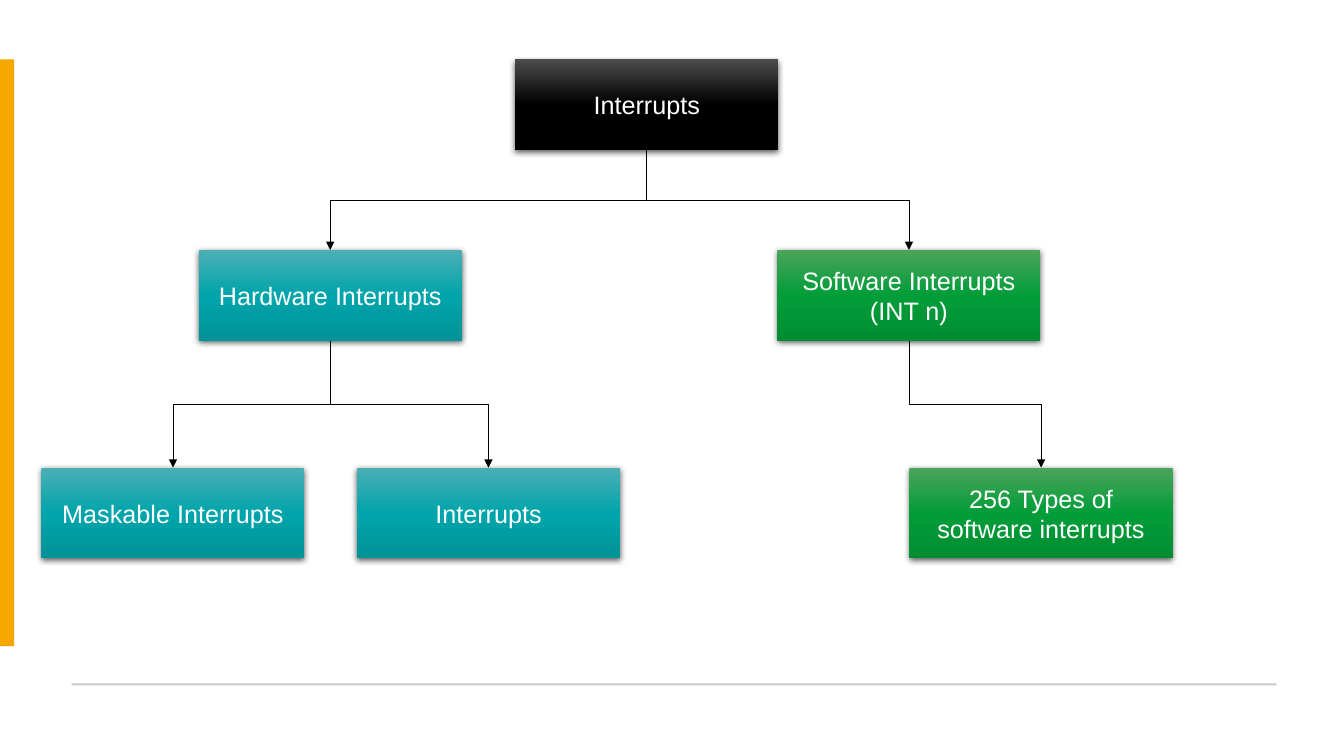
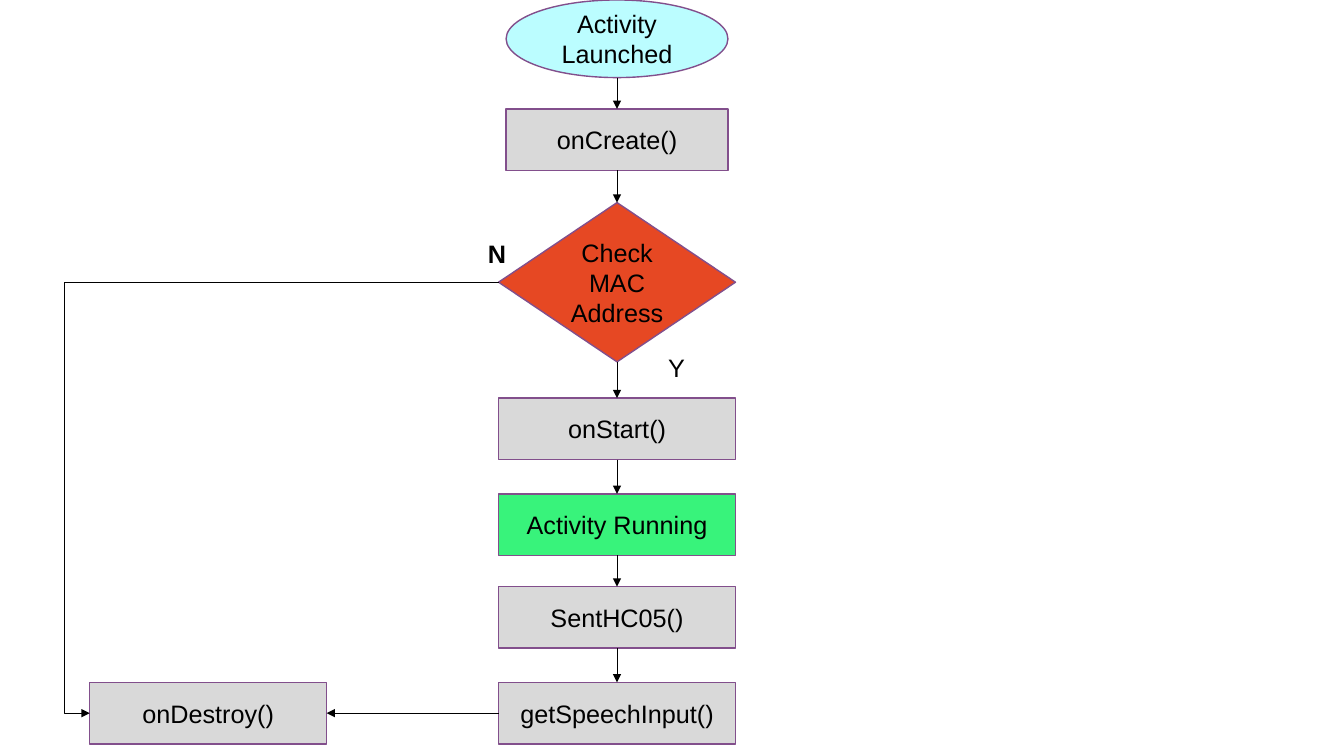
from copy import deepcopy

from lxml.etree import SubElement
from pptx import Presentation
from pptx.dml.color import RGBColor
from pptx.enum.shapes import MSO_CONNECTOR, MSO_SHAPE
from pptx.enum.text import MSO_ANCHOR, MSO_AUTO_SIZE, PP_ALIGN
from pptx.oxml.ns import qn
from pptx.util import Inches, Pt

FONT = "Arial"
BLACK = RGBColor(0x00, 0x00, 0x00)
WHITE = RGBColor(0xFF, 0xFF, 0xFF)
AMBER = RGBColor(0xF5, 0xA7, 0x00)
SILVER = RGBColor(0xC9, 0xC9, 0xC9)
GRAY = RGBColor(0xD9, 0xD9, 0xD9)
CYAN = RGBColor(0xBB, 0xFD, 0xFF)
ORANGE = RGBColor(0xE6, 0x48, 0x23)
LIME = RGBColor(0x38, 0xF3, 0x7B)
PURPLE = RGBColor(0x82, 0x4F, 0x8C)
BLACK_FADE = (RGBColor(0x4B, 0x4B, 0x4B), BLACK, BLACK)
TEAL_FADE = (RGBColor(0x4B, 0xAF, 0xB5), RGBColor(0x00, 0xA5, 0xAB), RGBColor(0x00, 0x93, 0x98))
GREEN_FADE = (RGBColor(0x4B, 0xA4, 0x5B), RGBColor(0x02, 0x9D, 0x39), RGBColor(0x00, 0x8D, 0x32))
TOP, LEFT, BOTTOM, RIGHT = range(4)


def add_box(page, kind, text, left, top, width, height, color, text_color=BLACK):
    box = page.shapes.add_shape(kind, Inches(left), Inches(top), Inches(width), Inches(height))
    box.shadow.inherit = False
    box.fill.solid()
    box.fill.fore_color.rgb = color
    box.line.fill.background()
    box.text_frame.text = text
    box.text_frame.vertical_anchor = MSO_ANCHOR.MIDDLE
    for para in box.text_frame.paragraphs:
        para.alignment = PP_ALIGN.CENTER
        para.font.name = FONT
        para.font.size = Pt(18)
        para.font.color.rgb = text_color
    return box


def add_arrow(page, kind, start, end, start_site=BOTTOM, end_site=TOP):
    arrow = page.shapes.add_connector(
        kind, start.left + start.width // 2, start.top + start.height,
        end.left + end.width // 2, end.top)
    if start.auto_shape_type != MSO_SHAPE.OVAL:
        arrow.begin_connect(start, start_site)
    arrow.end_connect(end, end_site)
    arrow.line.color.rgb = BLACK
    arrow.line.width = Pt(0.5)
    properties = arrow._element.spPr
    SubElement(properties.find(qn("a:ln")), qn("a:tailEnd"), type="triangle")
    SubElement(properties, qn("a:effectLst"))
    return arrow


deck = Presentation()
deck.slide_width = Inches(13.33)
deck.slide_height = Inches(7.5)
blank = deck.slide_layouts[6]

page = deck.slides.add_slide(blank)
add_box(page, MSO_SHAPE.RECTANGLE, "", 0, 0.59, 0.14, 5.82, AMBER)
add_box(page, MSO_SHAPE.RECTANGLE, "", 0.71, 6.78, 11.95, 0.02, SILVER)

tree = [
    ("root", None, "Interrupts", 5.11, 0.59, BLACK_FADE),
    ("hardware", "root", "Hardware Interrupts", 1.97, 2.48, TEAL_FADE),
    ("software", "root", "Software Interrupts\n(INT n)", 7.71, 2.48, GREEN_FADE),
    ("types", "software", "256 Types of software interrupts", 9.02, 4.64, GREEN_FADE),
    ("maskable", "hardware", "Maskable Interrupts", 0.41, 4.64, TEAL_FADE),
    ("other", "hardware", "Interrupts", 3.54, 4.64, TEAL_FADE),
]
nodes = {}
for name, parent, text, left, top, fade in tree:
    node = add_box(page, MSO_SHAPE.RECTANGLE, text, left, top, 2.61, 0.9, fade[0], WHITE)
    nodes[name] = node
    node.fill.gradient()
    node.fill.gradient_angle = 270
    properties = node._element.spPr
    stop_list = properties.find(qn("a:gradFill")).find(qn("a:gsLst"))
    stop_list.append(deepcopy(stop_list[-1]))
    for stop, position, color in zip(node.fill.gradient_stops, (0, 0.5, 1), fade):
        stop.position = position
        stop.color.rgb = color
    shadow = SubElement(properties.find(qn("a:effectLst")), qn("a:outerShdw"),
                        blurRad=str(Pt(4.5)), dist=str(Pt(1.5)), dir="5400000", rotWithShape="0")
    shade = SubElement(shadow, qn("a:srgbClr"), val=str(BLACK))
    SubElement(shade, qn("a:alpha"), val="63000")

    if parent:
        arrow = add_arrow(page, MSO_CONNECTOR.ELBOW, nodes[parent], node)
        middle_x = arrow.left + arrow.width // 2
        middle_y = arrow.top + arrow.height // 2
        goes_right = arrow.end_x > arrow.begin_x
        arrow.width, arrow.height = arrow.height, arrow.width
        arrow.left = middle_x - arrow.width // 2
        arrow.top = middle_y - arrow.height // 2
        frame = arrow._element.spPr.find(qn("a:xfrm"))
        frame.set("rot", str((270 if goes_right else 90) * 60000))
        frame.set("flipH", "1" if goes_right else "0")

page = deck.slides.add_slide(blank)
center = 6.12
flow = [
    (MSO_SHAPE.OVAL, "Activity Launched", 0, 2.2, 0.77, CYAN),
    (MSO_SHAPE.RECTANGLE, "onCreate()", 1.08, 2.2, 0.61, GRAY),
    (MSO_SHAPE.DIAMOND, "Check MAC Address", 2.01, 2.35, 1.58, ORANGE),
    (MSO_SHAPE.RECTANGLE, "onStart()", 3.95, 2.35, 0.61, GRAY),
    (MSO_SHAPE.RECTANGLE, "Activity Running", 4.9, 2.35, 0.61, LIME),
    (MSO_SHAPE.RECTANGLE, "SentHC05()", 5.82, 2.35, 0.61, GRAY),
    (MSO_SHAPE.RECTANGLE, "getSpeechInput()", 6.77, 2.35, 0.61, GRAY),
]
steps = [add_box(page, kind, text, center - width / 2, top, width, height, color)
         for kind, text, top, width, height, color in flow]
destroy = add_box(page, MSO_SHAPE.RECTANGLE, "onDestroy()", 0.89, 6.77, 2.35, 0.61, GRAY)
for step in steps + [destroy]:
    step.line.color.rgb = PURPLE
    step.line.width = Pt(1)

for start, end in zip(steps, steps[1:]):
    add_arrow(page, MSO_CONNECTOR.STRAIGHT, start, end)
add_arrow(page, MSO_CONNECTOR.STRAIGHT, steps[-1], destroy, LEFT, RIGHT)
reject = add_arrow(page, MSO_CONNECTOR.ELBOW, steps[2], destroy, LEFT, LEFT)
guides = reject._element.spPr.find(qn("a:prstGeom")).get_or_add_avLst()
SubElement(guides, qn("a:gd"), name="adj1", fmla="val 106100")

for text, left, top, width, bold in [("Y", 6.43, 3.45, 0.56, False), ("N", 4.11, 2.32, 1.64, True)]:
    label = page.shapes.add_textbox(Inches(left), Inches(top), Inches(width), Inches(0.4))
    label.text_frame.word_wrap = True
    label.text_frame.auto_size = MSO_AUTO_SIZE.SHAPE_TO_FIT_TEXT
    para = label.text_frame.paragraphs[0]
    para.text = text
    para.alignment = PP_ALIGN.CENTER
    para.font.name = FONT
    para.font.size = Pt(18)
    para.font.bold = bold
    para.font.color.rgb = BLACK

deck.save("out.pptx")
